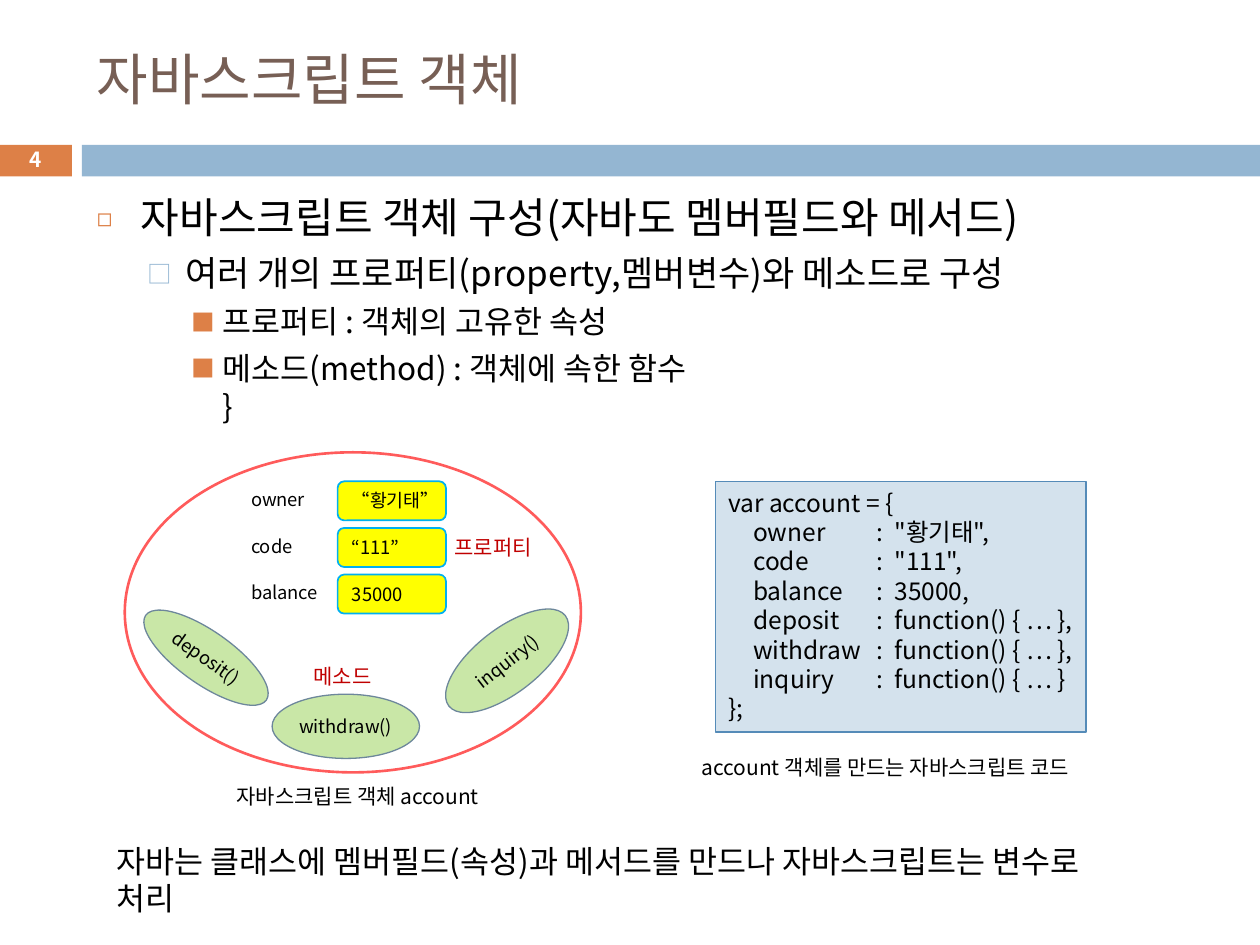
from lxml import etree
from pptx import Presentation
from pptx import util as u
from pptx.dml.color import RGBColor
from pptx.enum import shapes, text
from pptx.oxml.ns import qn

FONT = "Noto Sans CJK KR"
MIDDLE, TOP = text.MSO_ANCHOR.MIDDLE, text.MSO_ANCHOR.TOP
LEFT, CENTER = text.PP_ALIGN.LEFT, text.PP_ALIGN.CENTER
RECT, ROUNDED, ELLIPSE = (shapes.MSO_SHAPE.RECTANGLE,
                          shapes.MSO_SHAPE.ROUNDED_RECTANGLE,
                          shapes.MSO_SHAPE.OVAL)

deck = Presentation()
deck.slide_width, deck.slide_height = u.Inches(10), u.Inches(7.5)
slide = deck.slides.add_slide(deck.slide_layouts[6])


def write(box, lines, size, color="000000", align=LEFT, anchor=TOP, bold=False):
    """Fill a box with paragraphs of one style and return them."""
    frame = box.text_frame
    frame.word_wrap = True
    frame.vertical_anchor = anchor
    frame.text = "\n".join(lines)
    for paragraph in frame.paragraphs:
        paragraph.alignment = align
        paragraph.line_spacing = u.Pt(size * 1.2)
        font = paragraph.font
        font.size, font.bold, font.name = u.Pt(size), bold, FONT
        font.color.rgb = RGBColor.from_string(color)
        defaults = paragraph._p.pPr.find(qn("a:defRPr"))
        etree.SubElement(defaults, qn("a:ea"), typeface=FONT)
    return frame.paragraphs


def draw(kind, place, fill=None, line=None, width=0.75):
    """Add a preset shape, or a text box when kind is None."""
    place = [u.Inches(length) for length in place]
    if kind is None:
        return slide.shapes.add_textbox(*place)
    shape = slide.shapes.add_shape(kind, *place)
    shape.shadow.inherit = False
    if fill:
        shape.fill.solid()
        shape.fill.fore_color.rgb = RGBColor.from_string(fill)
    else:
        shape.fill.background()
    if line:
        shape.line.color.rgb = RGBColor.from_string(line)
        shape.line.width = u.Pt(width)
    else:
        shape.line.fill.background()
    return shape


# Title and header band
draw(RECT, (-0.01, 1.15, 0.58, 0.25), "DD8047")
draw(RECT, (0.65, 1.15, 9.35, 0.25), "94B6D2")
write(draw(None, (0.67, 0.25, 8.92, 0.74)), ["자바스크립트 객체"], 32, "775F55", anchor=MIDDLE)
write(draw(None, (-0.01, 1.13, 0.58, 0.27)), ["4"], 11.9, "FFFFFF", CENTER, MIDDLE, True)

# Outline: text and level; each level has
# size, space before, left margin, hanging indent, bullet, colour, bullet %
levels = [(24, 7, 0.35, 0.35, "◻", "DD8047", 60),
          (20, 5.5, 0.7, 0.3, "□", "94B6D2", 70),
          (18, 5, 1, 0.25, "■", "DD8047", 75)]
outline = [("자바스크립트 객체 구성(자바도 멤버필드와 메서드)", 0),
           ("여러 개의 프로퍼티(property,멤버변수)와 메소드로 구성", 1),
           ("프로퍼티 : 객체의 고유한 속성", 2),
           ("메소드(method) : 객체에 속한 함수\v}", 2)]
points = write(draw(None, (0.67, 1.47, 8.92, 5.51)), [line for line, _ in outline], 18)
for point, (_, level) in zip(points, outline):
    size, before, margin, hanging, bullet, color, percent = levels[level]
    point.level = level
    point.font.size = u.Pt(size)
    point.line_spacing = u.Pt(size * 1.2)
    point.space_before = u.Pt(before)
    props = point._p.pPr
    props.set("marL", str(u.Inches(margin)))
    props.set("indent", str(-u.Inches(hanging)))
    bullet_color = etree.Element(qn("a:buClr"))
    etree.SubElement(bullet_color, qn("a:srgbClr"), val=color)
    defaults = props.find(qn("a:defRPr"))
    for part in (bullet_color,
                 etree.Element(qn("a:buSzPct"), val=str(percent * 1000)),
                 etree.Element(qn("a:buFont"), typeface=FONT),
                 etree.Element(qn("a:buChar"), char=bullet)):
        defaults.addprevious(part)

# Code listing, with tab stops for names and values
members = [("owner", '"황기태",'), ("code", '"111",'), ("balance", "35000,"),
           ("deposit", "function() { … },"), ("withdraw", "function() { … },"),
           ("inquiry", "function() { … }")]
code = ["var account = {", *(f"\t{name}\t:  {value}" for name, value in members), "};"]
listing = draw(RECT, (5.68, 3.82, 2.94, 1.99), "D4E2ED", "558BB8")
listing.text_frame.margin_right = 0
for code_line in write(listing, code, 14):
    stops = etree.Element(qn("a:tabLst"))
    for stop in (0.2, 1.18):
        etree.SubElement(stops, qn("a:tab"), pos=str(u.Inches(stop)), algn="l")
    code_line._p.pPr.find(qn("a:defRPr")).addprevious(stops)

# The account object: outer ellipse, methods and properties
draw(ELLIPSE, (0.99, 3.59, 3.62, 2.54), line="FF5B5B", width=1.5)
methods = [("deposit()", (1.05, 5.01, 1.17, 0.42), 35.1),
           ("withdraw()", (2.16, 5.51, 1.17, 0.51), 0),
           ("inquiry()", (3.44, 4.99, 1.17, 0.51), 322.2)]
for name, place, angle in methods:
    method = draw(ELLIPSE, place, "C9E7A7", "6D879B")
    method.rotation = angle
    write(method, [name], 10.5, align=CENTER, anchor=MIDDLE)
    method.text_frame.word_wrap = False
    method.text_frame.margin_left = method.text_frame.margin_right = u.Inches(0.04)

for row, (name, value) in enumerate([("owner", "“황기태”"), ("code", "“111”"),
                                     ("balance", "35000")]):
    top = 3.81 + 0.37 * row
    write(draw(ROUNDED, (1.88, top, 0.86, 0.31)), [name], 10.5)
    field = draw(ROUNDED, (2.68, top + 0.01, 0.86, 0.31), "FFFF00", "00B0F0", 1)
    field.text_frame.margin_right = 0
    write(field, [value], 10.5)

# Labels and captions
labels = [
    ("프로퍼티", (3.51, 4.19, 0.88, 0.3), 12, "C00000"),
    ("메소드", (2.39, 5.22, 0.71, 0.3), 12, "C00000"),
    ("자바스크립트 객체 account", (1.78, 6.17, 2.27, 0.3), 12, "000000"),
    ("account 객체를 만드는 자바스크립트 코드", (5.47, 5.94, 3.46, 0.3), 12, "000000"),
    ("자바는 클래스에 멤버필드(속성)과 메서드를 만드나 자바스크립트는 변수로\v처리",
     (0.83, 6.63, 8.72, 0.71), 18, "000000"),
]
for label, place, size, color in labels:
    write(draw(None, place), [label], size, color)

deck.save("out.pptx")
